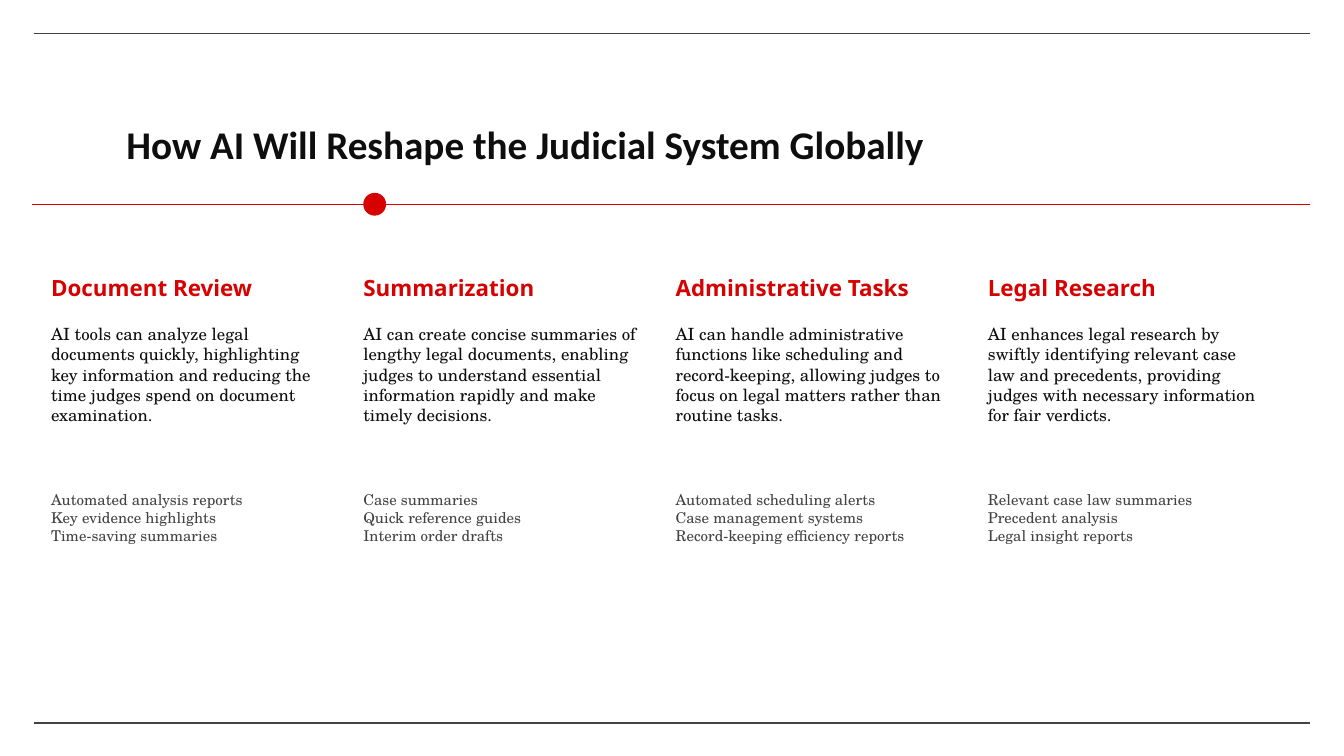
import pptx
import pptx.util
import pptx.dml.color
import pptx.enum.shapes
import pptx.enum.text
import pptx.oxml.ns
import lxml.etree

Inches = pptx.util.Inches
Pt = pptx.util.Pt
RGBColor = pptx.dml.color.RGBColor
ANCHOR = pptx.enum.text.MSO_ANCHOR

# Content
TITLE = "How AI Will Reshape the Judicial System Globally"
COLUMNS = [
    ("Document Review",
     "AI tools can analyze legal documents quickly, highlighting key information "
     "and reducing the time judges spend on document examination.",
     ["Automated analysis reports", "Key evidence highlights", "Time-saving summaries"]),
    ("Summarization",
     "AI can create concise summaries of lengthy legal documents, enabling judges "
     "to understand essential information rapidly and make timely decisions.",
     ["Case summaries", "Quick reference guides", "Interim order drafts"]),
    ("Administrative Tasks",
     "AI can handle administrative functions like scheduling and record-keeping, "
     "allowing judges to focus on legal matters rather than routine tasks.",
     ["Automated scheduling alerts", "Case management systems",
      "Record-keeping efficiency reports"]),
    ("Legal Research",
     "AI enhances legal research by swiftly identifying relevant case law and "
     "precedents, providing judges with necessary information for fair verdicts.",
     ["Relevant case law summaries", "Precedent analysis", "Legal insight reports"]),
]

# Style
RED = RGBColor(0xD6, 0x02, 0x02)
INK = RGBColor(0x0E, 0x0E, 0x0E)
GRAY = RGBColor(0x43, 0x43, 0x43)
TITLE_FONT, HEADING_FONT, BODY_FONT = "Calibri", "Noto Sans", "TeX Gyre Schola"

# Layout, in inches
SLIDE_WIDTH = 10
SLIDE_HEIGHT = SLIDE_WIDTH * 9 / 16
COLUMN_LEFT, COLUMN_WIDTH = 0.38, 2.15
COLUMN_STEP = (7.35 - COLUMN_LEFT) / (len(COLUMNS) - 1)
TIMELINE_Y = 1.52
DOT_SIZE = 0.17

deck = pptx.Presentation()
deck.slide_width, deck.slide_height = Inches(SLIDE_WIDTH), Inches(SLIDE_HEIGHT)
slide = deck.slides.add_slide(deck.slide_layouts[6])


def add_rule(left, y, color):
    rule = slide.shapes.add_connector(
        pptx.enum.shapes.MSO_CONNECTOR.STRAIGHT,
        Inches(left), Inches(y), Inches(9.75), Inches(y))
    rule.line.color.rgb = color
    rule.line.width = Pt(0.75)
    lxml.etree.SubElement(rule._element.spPr, pptx.oxml.ns.qn("a:effectLst"))


def add_text(box, lines, font, size, color, bold=False,
             anchor=ANCHOR.TOP, insets=(0, 0.1, 0.1, 0.1), spacing=None):
    frame = slide.shapes.add_textbox(*map(Inches, box)).text_frame
    frame.word_wrap = True
    frame.vertical_anchor = anchor
    (frame.margin_left, frame.margin_top,
     frame.margin_right, frame.margin_bottom) = map(Inches, insets)
    frame.text = "\n".join(lines)
    for paragraph in frame.paragraphs:
        paragraph.font.name = font
        paragraph.font.size = Pt(size)
        paragraph.font.bold = bold
        paragraph.font.color.rgb = color
        if spacing:
            paragraph.line_spacing = spacing


# Frame rules and timeline
for left, y, color in [(0.25, 0.25, GRAY), (0.25, 5.38, GRAY), (0.24, TIMELINE_Y, RED)]:
    add_rule(left, y, color)

# Columns: heading, description, outputs
for index, (heading, description, outputs) in enumerate(COLUMNS):
    left = COLUMN_LEFT + index * COLUMN_STEP
    add_text((left, 1.51, COLUMN_WIDTH, 0.73), [heading], HEADING_FONT, 12, RED,
             bold=True, anchor=ANCHOR.BOTTOM, insets=(0, 0, 0.1, 0))
    add_text((left, 2.31, COLUMN_WIDTH, 1.24), [description], BODY_FONT, 9, INK)
    add_text((left, 3.55, COLUMN_WIDTH, 1.24), outputs, BODY_FONT, 8, GRAY)

# Title
add_text((0.94, 0.79, 9.11, 0.63), [TITLE], TITLE_FONT, 21, INK, bold=True,
         anchor=ANCHOR.MIDDLE, insets=(0, 0.1, 0, 0.1), spacing=0.75)

# Timeline dot, above the second column
dot = slide.shapes.add_shape(
    pptx.enum.shapes.MSO_SHAPE.OVAL,
    Inches(COLUMN_LEFT + COLUMN_STEP), Inches(TIMELINE_Y - DOT_SIZE / 2),
    Inches(DOT_SIZE), Inches(DOT_SIZE))
dot.shadow.inherit = False
dot.fill.solid()
dot.fill.fore_color.rgb = RED
dot.line.fill.background()

deck.save("out.pptx")
